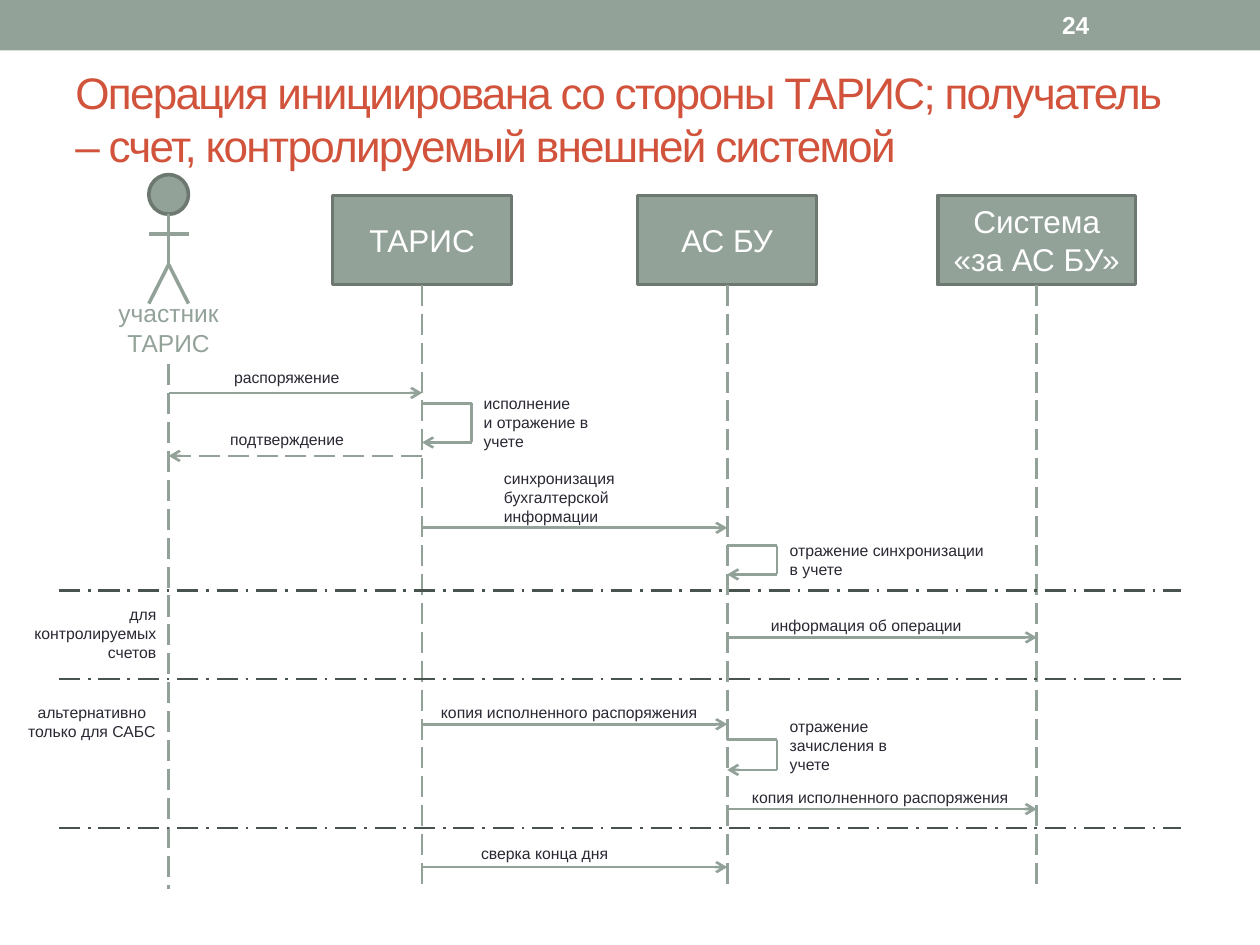
from dataclasses import dataclass

from lxml import etree
from pptx import Presentation
from pptx.dml.color import RGBColor
from pptx.enum.dml import MSO_LINE
from pptx.enum.shapes import MSO_CONNECTOR, MSO_SHAPE
from pptx.enum.text import MSO_ANCHOR, PP_ALIGN
from pptx.oxml.ns import qn
from pptx.util import Cm, Pt

STRAIGHT = MSO_CONNECTOR.STRAIGHT
RECTANGLE, OVAL = MSO_SHAPE.RECTANGLE, MSO_SHAPE.OVAL
LONG_DASH, LONG_DASH_DOT = MSO_LINE.LONG_DASH, MSO_LINE.LONG_DASH_DOT
TOP, MIDDLE = MSO_ANCHOR.TOP, MSO_ANCHOR.MIDDLE
LEFT, CENTER, RIGHT = PP_ALIGN.LEFT, PP_ALIGN.CENTER, PP_ALIGN.RIGHT


@dataclass(frozen=True)
class Theme:
    font: str = "Arial"
    sage: str = "93A299"
    outline: str = "6D7871"
    divider: str = "47534C"
    title: str = "D2533C"
    ink: str = "292934"
    white: str = "FFFFFF"
    title_size: float = 25.2
    box_size: float = 18
    actor_size: float = 14
    label_size: float = 9


THEME = Theme()

# Lifeline positions, all lengths in centimetres
ACTOR, CORE, LEDGER, OUTER = 3.4, 8.51, 14.66, 20.9
BOX_TOP, BOX_HEIGHT = 3.94, 1.8
LIFELINE_END = 17.93
LOOP_WIDTH = 1.0

# Name, lifeline, width
PARTICIPANTS = [
    ("ТАРИС", CORE, 3.61),
    ("АС БУ", LEDGER, 3.61),
    ("Система\n«за АС БУ»", OUTER, 3.99),
]

# Sender, receiver, height on the slide, dash
MESSAGES = [
    (ACTOR, CORE, 7.92, None),
    (CORE, ACTOR, 9.19, LONG_DASH),
    (CORE, LEDGER, 10.64, None),
    (LEDGER, OUTER, 12.85, None),
    (CORE, LEDGER, 14.6, None),
    (LEDGER, OUTER, 16.31, None),
    (CORE, LEDGER, 17.48, None),
]

# Lifeline, top, bottom
LOOPS = [(CORE, 8.13, 8.92), (LEDGER, 11, 11.58), (LEDGER, 14.91, 15.52)]

DIVIDERS = [11.91, 13.69, 16.69]

# Text, left, top, width, number of lines, alignment
LABELS = [
    ("распоряжение", 4.47, 7.29, 2.84, 1, LEFT),
    ("исполнение\nи отражение в\nучете", 9.5, 7.82, 3, 3, LEFT),
    ("подтверждение", 4.39, 8.53, 3.3, 1, LEFT),
    ("синхронизация бухгалтерской информации", 9.91, 9.32, 3.81, 3, LEFT),
    ("отражение синхронизации\nв учете", 15.67, 10.77, 4.6, 2, LEFT),
    ("для контролируемых счетов", 0.3, 12.06, 3.1, 3, RIGHT),
    ("информация об операции", 15.29, 12.29, 4.6, 1, LEFT),
    ("альтернативно только для САБС", 0.3, 14.05, 3.1, 2, CENTER),
    ("копия исполненного распоряжения", 8.64, 14.05, 6.07, 1, LEFT),
    ("отражение зачисления в\nучете", 15.67, 14.33, 3, 3, LEFT),
    ("копия исполненного распоряжения", 14.91, 15.75, 6.07, 1, LEFT),
    ("сверка конца дня", 9.45, 16.89, 3.81, 1, LEFT),
]


def write(shape, text, *, size, color, bold=False, align=LEFT, anchor=TOP, spacing=None):
    """Fill a shape with text, one paragraph per line; spacing is in points."""
    frame = shape.text_frame
    frame.word_wrap = True
    frame.vertical_anchor = anchor
    frame.text = text
    for para in frame.paragraphs:
        para.alignment = align
        for span in para.runs:
            span.font.name = THEME.font
            span.font.size = Pt(size)
            span.font.bold = bold
            span.font.color.rgb = RGBColor.from_string(color)
            if spacing is not None:
                span.font._element.set("spc", str(int(spacing * 100)))


def add_text(page, text, left, top, width, height, **style):
    box = page.shapes.add_textbox(Cm(left), Cm(top), Cm(width), Cm(height))
    write(box, text, **style)
    return box


def add_block(page, kind, left, top, width, height, outlined=True):
    block = page.shapes.add_shape(kind, Cm(left), Cm(top), Cm(width), Cm(height))
    block.shadow.inherit = False
    block.fill.solid()
    block.fill.fore_color.rgb = RGBColor.from_string(THEME.sage)
    if outlined:
        block.line.color.rgb = RGBColor.from_string(THEME.outline)
        block.line.width = Pt(2.08)
    else:
        block.line.fill.background()
    return block


def add_line(page, start, end, *, color=THEME.sage, weight=1.5, dash=None, arrow=False):
    line = page.shapes.add_connector(STRAIGHT, *map(Cm, start + end))
    line.line.color.rgb = RGBColor.from_string(color)
    line.line.width = Pt(weight)
    if dash is not None:
        line.line.dash_style = dash
    if arrow:
        etree.SubElement(line.line._get_or_add_ln(), qn("a:tailEnd"), type="arrow")
    etree.SubElement(line._element.spPr, qn("a:effectLst"))


def add_lifeline(page, x, top):
    add_line(page, (x, top), (x, LIFELINE_END), dash=LONG_DASH)


def add_participant(page, name, x, width):
    box = add_block(page, RECTANGLE, x - width / 2, BOX_TOP, width, BOX_HEIGHT)
    write(box, name, size=THEME.box_size, color=THEME.white, align=CENTER, anchor=MIDDLE)
    add_lifeline(page, x, BOX_TOP + BOX_HEIGHT)


def add_actor(page, name, x):
    half, neck, hip = 0.4, 4.32, 5.33
    add_block(page, OVAL, x - half, neck - 2 * half, 2 * half, 2 * half)
    limbs = [
        ((x, neck), (x, hip)),
        ((x - half, 4.72), (x + half, 4.72)),
        ((x, hip), (x - half, 6.12)),
        ((x, hip), (x + half, 6.12)),
    ]
    for start, end in limbs:
        add_line(page, start, end, weight=2)
    add_text(page, name, x - 1.3, 5.89, 2.6, 1.45,
             size=THEME.actor_size, color=THEME.sage, align=CENTER)
    add_lifeline(page, x, 7.34)


def add_loop(page, x, top, bottom):
    """Draw a message that a participant sends to itself."""
    side = x + LOOP_WIDTH
    add_line(page, (x, top), (side, top))
    add_line(page, (side, top), (side, bottom))
    add_line(page, (side, bottom), (x, bottom), arrow=True)


def add_heading(page):
    add_block(page, RECTANGLE, 0, 0, 25.4, 1.02, outlined=False)
    add_text(page, "24", 21.16, 0.05, 2.97, 0.91, size=THEME.actor_size,
             color=THEME.white, bold=True, anchor=MIDDLE)
    title = add_text(
        page,
        "Операция инициирована со стороны ТАРИС; получатель"
        " – счет, контролируемый внешней системой",
        1.27, 1.47, 22.86, 1.85, size=THEME.title_size, color=THEME.title,
        anchor=MIDDLE, spacing=-1)
    title.text_frame.margin_right = Cm(0.5)


def main():
    deck = Presentation()
    deck.slide_width, deck.slide_height = Cm(25.4), Cm(19.05)
    page = deck.slides.add_slide(deck.slide_layouts[6])
    add_heading(page)
    add_actor(page, "участник\nТАРИС", ACTOR)
    for participant in PARTICIPANTS:
        add_participant(page, *participant)
    for sender, receiver, y, dash in MESSAGES:
        add_line(page, (sender, y), (receiver, y), dash=dash, arrow=True)
    for loop in LOOPS:
        add_loop(page, *loop)
    for y in DIVIDERS:
        add_line(page, (1.19, y), (23.8, y), color=THEME.divider, dash=LONG_DASH_DOT)
    for text, left, top, width, lines, align in LABELS:
        add_text(page, text, left, top, width, 0.25 + 0.39 * lines,
                 size=THEME.label_size, color=THEME.ink, align=align)
    deck.save("out.pptx")


if __name__ == "__main__":
    main()
